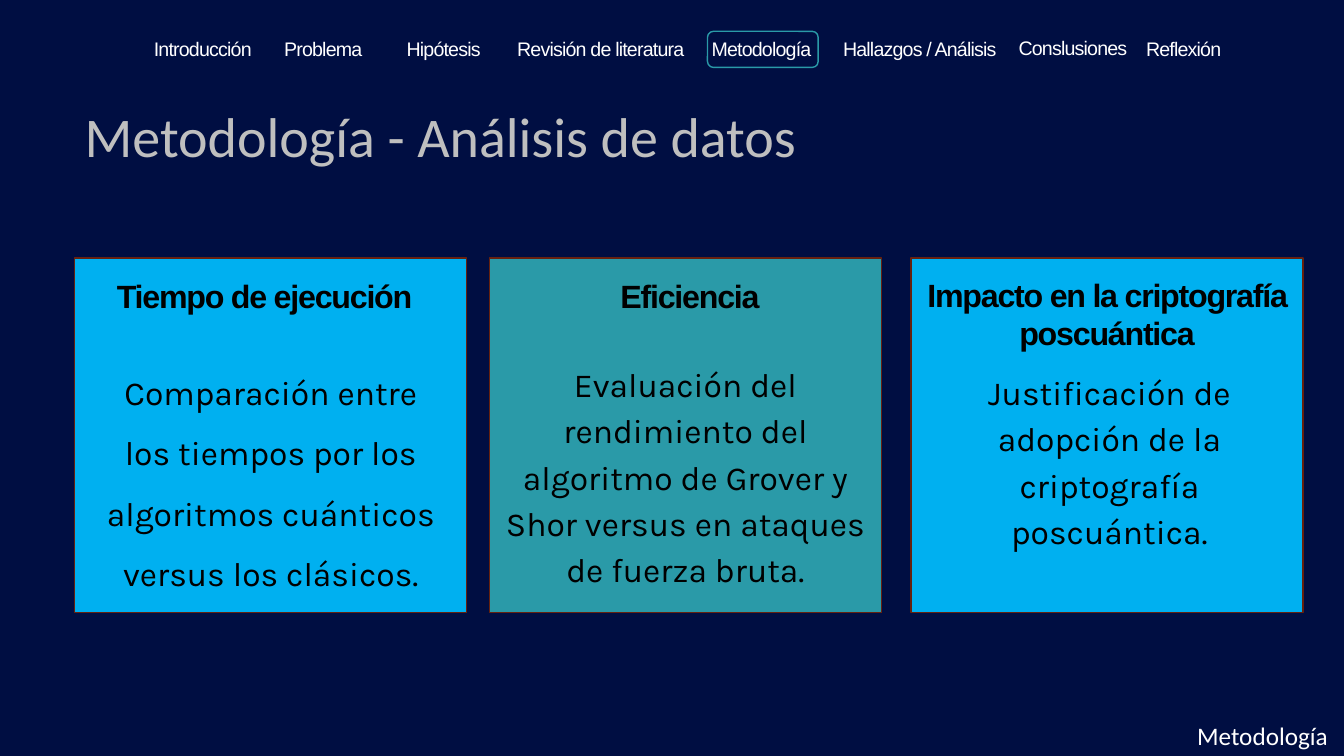
"""Builds the data-analysis methodology slide."""
import pptx
import pptx.dml.color
import pptx.enum.shapes
import pptx.enum.text
import pptx.util

Cm = pptx.util.Cm
Pt = pptx.util.Pt
SHAPES = pptx.enum.shapes.MSO_SHAPE
CENTER = pptx.enum.text.PP_ALIGN.CENTER

NAVY, TEAL, SKY, RUST = "000E42", "2A9AA8", "00B0F0", "66210F"
WHITE, BLACK, GREY = "FFFFFF", "000000", "BFBFBF"

TITLE = "Metodología - Análisis de datos"
FOOTER = "Metodología"
NAVIGATION = [
    ("Introducción", 3.84, 0.84, 2.54),
    ("Problema", 6.86, 0.84, 2.57),
    ("Hipótesis", 9.91, 0.84, 2.54),
    ("Revisión de literatura", 12.93, 0.84, 4.42),
    ("Metodología", 16.89, 0.84, 4.6),
    ("Hallazgos / Análisis", 20.88, 0.84, 4.6),
    ("Conslusiones", 24.74, 0.81, 4.6),
    ("Reflexión", 27.53, 0.84, 4.6),
]
CARD_TOP, CARD_WIDTH, CARD_HEIGHT = 6.5, 9.88, 8.94
CARDS = [
    dict(left=1.88, fill=SKY, heading="Tiempo de ejecución",
         heading_at=(1.73, 6.96, CARD_WIDTH, 0.94),
         body="Comparación entre los tiempos por los algoritmos cuánticos versus los clásicos.",
         body_at=(2.67, 8.86, 8.31, 5.99), spacing=1.5),
    dict(left=12.34, fill=TEAL, heading="Eficiencia",
         heading_at=(12.45, 6.96, CARD_WIDTH, 0.94),
         body="Evaluación del rendimiento del algoritmo de Grover y Shor versus en ataques "
              "de fuerza bruta.",
         body_at=(12.5, 9.02, 9.55, 5.84), spacing=1.15),
    dict(left=22.96, fill=SKY, heading="Impacto en la criptografía poscuántica",
         heading_at=(22.96, 6.93, CARD_WIDTH, 1.93),
         body="Justificación de adopción de la criptografía poscuántica.",
         body_at=(23.39, 9.22, 9.14, 3.48), spacing=1.15),
]


def color(value):
    return pptx.dml.color.RGBColor.from_string(value)


def write(frame, text, size, font, ink, align=None, spacing=None, bold=None, tracking=None):
    para = frame.paragraphs[0]
    para.alignment = align
    para.line_spacing = spacing
    span = para.add_run()
    span.text = text
    span.font.size = Pt(size)
    span.font.name = font
    span.font.bold = bold
    span.font.color.rgb = color(ink)
    if tracking:
        span.font._element.set("spc", str(round(tracking * 100)))


def add_text(page, place, text, *style, inset=0, **options):
    frame = page.shapes.add_textbox(*map(Cm, place)).text_frame
    frame.word_wrap = True
    frame.auto_size = pptx.enum.text.MSO_AUTO_SIZE.SHAPE_TO_FIT_TEXT
    frame.margin_left = frame.margin_right = Cm(inset)
    frame.margin_top = frame.margin_bottom = Cm(inset / 2)
    write(frame, text, *style, **options)


def add_panel(page, kind, place, line, fill=None):
    panel = page.shapes.add_shape(kind, *map(Cm, place))
    panel.shadow.inherit = False
    panel.line.color.rgb = color(line)
    panel.line.width = Pt(1)
    if fill:
        panel.fill.solid()
        panel.fill.fore_color.rgb = color(fill)
    else:
        panel.fill.background()


def main():
    deck = pptx.Presentation()
    deck.slide_width, deck.slide_height = Cm(33.87), Cm(19.05)
    page = deck.slides.add_slide(deck.slide_layouts[5])
    page.background.fill.solid()
    page.background.fill.fore_color.rgb = color(NAVY)

    title = page.shapes.title
    title.left, title.top, title.width, title.height = map(Cm, (1.88, 2.59, 29.21, 1.83))
    title.text_frame.vertical_anchor = pptx.enum.text.MSO_ANCHOR.MIDDLE
    write(title.text_frame, TITLE, 40, "Calibri", GREY,
          align=pptx.enum.text.PP_ALIGN.LEFT, spacing=0.9)

    add_panel(page, SHAPES.ROUNDED_RECTANGLE, (17.83, 0.79, 2.79, 0.91), TEAL)
    for label, left, top, width in NAVIGATION:
        add_text(page, (left, top, width, 0.66), label, 14, "Arial", WHITE,
                 align=CENTER, spacing=Pt(19.6), tracking=-0.6)

    for card in CARDS:
        place = (card["left"], CARD_TOP, CARD_WIDTH, CARD_HEIGHT)
        add_panel(page, SHAPES.RECTANGLE, place, RUST, card["fill"])
        add_text(page, card["heading_at"], card["heading"], 23, "Arial", BLACK,
                 align=CENTER, spacing=Pt(27.6), bold=True, tracking=-0.9)
        add_text(page, card["body_at"], card["body"], 24, "Karla", BLACK,
                 align=CENTER, spacing=card["spacing"])

    add_text(page, (29.92, 18.03, 3.96, 1.02), FOOTER, 18, "Calibri", WHITE, inset=0.25)
    deck.save("out.pptx")


if __name__ == "__main__":
    main()
